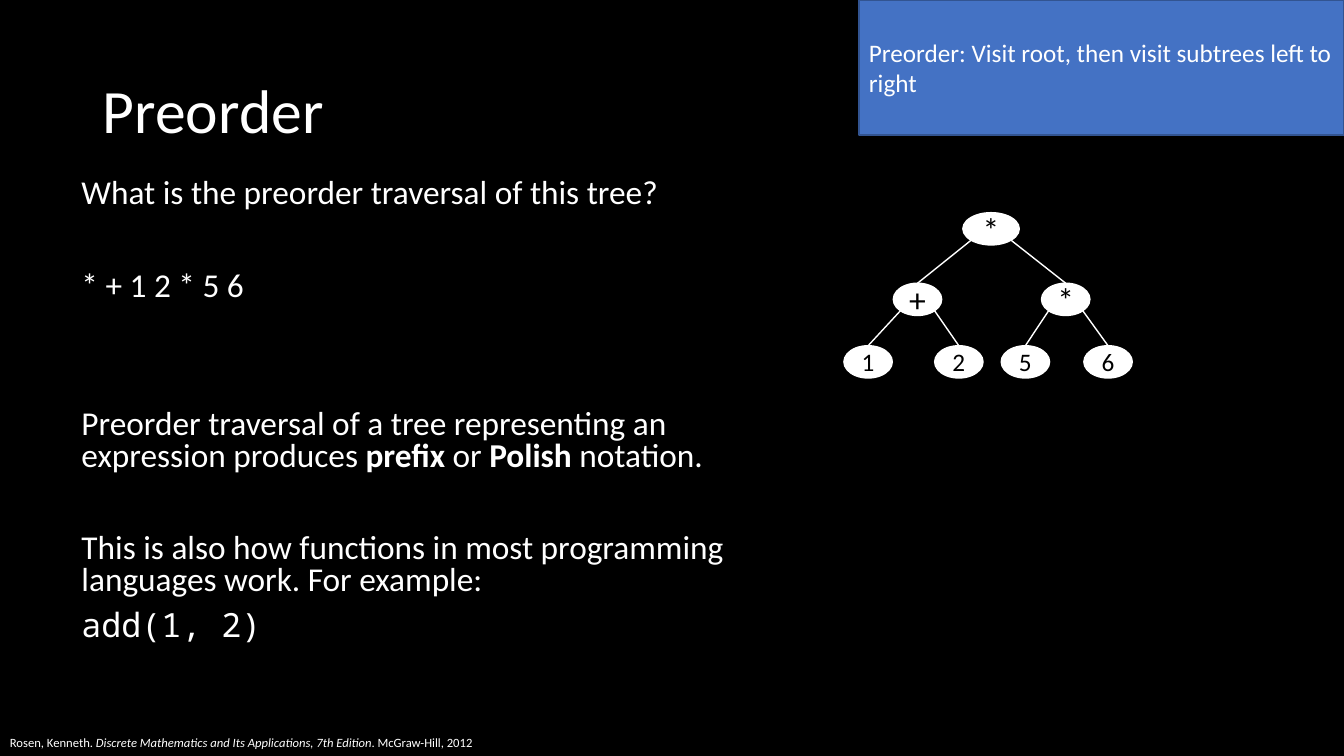
from dataclasses import dataclass
from math import sqrt

from lxml.etree import SubElement
from pptx import Presentation
from pptx.dml.color import RGBColor
from pptx.enum.shapes import MSO_CONNECTOR as Connector, MSO_SHAPE as Preset
from pptx.enum.text import MSO_ANCHOR as Anchor, MSO_AUTO_SIZE as AutoSize, PP_ALIGN as Align
from pptx.oxml.ns import qn
from pptx.util import Inches, Pt


@dataclass(frozen=True)
class Theme:
    background: str = "000000"
    light: str = "FFFFFF"
    dark: str = "000000"
    accent: str = "4472C4"
    accent_edge: str = "325491"
    font: str = "Calibri"
    code_font: str = "Noto Sans Mono"
    title_size: float = 44
    body_size: float = 23.8
    operator_size: float = 24
    label_size: float = 18
    citation_size: float = 9


@dataclass(frozen=True)
class Node:
    label: str
    column: float
    row: float
    width: float = 4.8
    height: float = 3.2
    children: tuple = ()


class SlideBuilder:
    CELL = Inches(0.1)

    def __init__(self, presentation, theme):
        self.theme = theme
        self.slide = presentation.slides.add_slide(presentation.slide_layouts[5])
        fill = self.slide.background.fill
        fill.solid()
        fill.fore_color.rgb = RGBColor.from_string(theme.background)

    def cells(self, *lengths):
        return [round(length * self.CELL) for length in lengths]

    def add_text_run(self, paragraph, text, size, color, bold=False, italic=False, font=None):
        run = paragraph.add_run()
        run.text = text
        run.font.name = font or self.theme.font
        run.font.size = Pt(size)
        run.font.bold = bold
        run.font.italic = italic
        run.font.color.rgb = RGBColor.from_string(color)

    def title(self, text, *box):
        shape = self.slide.shapes.title
        shape.left, shape.top, shape.width, shape.height = self.cells(*box)
        frame = shape.text_frame
        frame.auto_size = AutoSize.NONE
        frame.vertical_anchor = Anchor.MIDDLE
        paragraph = frame.paragraphs[0]
        paragraph.alignment = Align.LEFT
        paragraph.line_spacing = 0.9
        self.add_text_run(paragraph, text, self.theme.title_size, self.theme.light)

    def text(self, paragraphs, size, *box, line_spacing=1.0):
        frame = self.slide.shapes.add_textbox(*self.cells(*box)).text_frame
        frame.word_wrap = True
        for index, (space_before, runs) in enumerate(paragraphs):
            paragraph = frame.add_paragraph() if index else frame.paragraphs[0]
            paragraph.line_spacing = line_spacing
            if index:
                paragraph.space_before = Pt(space_before)
            for text, style in runs:
                self.add_text_run(paragraph, text, size, self.theme.light, **style)

    def shape(self, shapes, preset, label, size, colors, box, align=Align.LEFT, margin=None):
        fill, edge, ink = colors
        shape = shapes.add_shape(preset, *self.cells(*box))
        shape.shadow.inherit = False
        shape.fill.solid()
        shape.fill.fore_color.rgb = RGBColor.from_string(fill)
        shape.line.color.rgb = RGBColor.from_string(edge)
        shape.line.width = Pt(1)
        frame = shape.text_frame
        frame.word_wrap = True
        frame.vertical_anchor = Anchor.MIDDLE
        if margin is not None:
            frame.margin_left = frame.margin_right = margin
            frame.margin_top = frame.margin_bottom = margin
        paragraph = frame.paragraphs[0]
        paragraph.alignment = align
        self.add_text_run(paragraph, label, size, ink)

    def panel(self, label, *box):
        theme = self.theme
        self.shape(self.slide.shapes, Preset.RECTANGLE, label, theme.label_size,
                   (theme.accent, theme.accent_edge, theme.light), box)

    def edge(self, shapes, parent, child):
        side = 1 if child.column > parent.column else -1
        start_column = parent.column + side * parent.width / 2 / sqrt(2)
        start_row = parent.row + parent.height / 2 * (1 + 1 / sqrt(2))
        line = shapes.add_connector(
            Connector.STRAIGHT,
            *self.cells(start_column, start_row, child.column, child.row))
        line.line.color.rgb = RGBColor.from_string(self.theme.light)
        line.line.width = Pt(1)
        SubElement(line._element.spPr, qn("a:effectLst"))

    def branch(self, shapes, node):
        theme = self.theme
        size = theme.label_size if node.label.isdigit() else theme.operator_size
        box = (node.column - node.width / 2, node.row, node.width, node.height)
        self.shape(shapes, Preset.OVAL, node.label, size,
                   (theme.light, theme.light, theme.dark), box, Align.CENTER, 0)
        for child in node.children:
            self.edge(shapes, node, child)
            self.branch(shapes, child)

    def tree(self, root):
        self.branch(self.slide.shapes.add_group_shape().shapes, root)


def main():
    theme = Theme()
    presentation = Presentation()
    presentation.slide_width = Inches(13.33)
    presentation.slide_height = Inches(7.5)
    builder = SlideBuilder(presentation, theme)

    builder.title("Preorder", 9.2, 4, 115, 14.5)

    gap, line_step = 10, 33
    bold = {"bold": True}
    body = [
        (0, [("What is the preorder traversal of this tree?", {})]),
        (gap + line_step, [("* + 1 2 * 5 6", {})]),
        (gap + 2 * line_step, [
            ("Preorder traversal of a tree representing an expression produces ", {}),
            ("prefix", bold), (" or ", {}), ("Polish", bold), (" notation.", {})]),
        (gap + line_step, [
            ("This is also how functions in most programming languages work. For example:", {})]),
        (gap, [("add(1, 2)", {"font": theme.code_font})]),
    ]
    builder.text(body, theme.body_size, 7.1, 17.3, 65.9, 51.1, line_spacing=0.8)

    root_row, operator_row, leaf_row = 21.1, 28.1, 34.3
    plus = Node("+", 91, operator_row, children=(
        Node("1", 86.1, leaf_row), Node("2", 95.1, leaf_row)))
    times = Node("*", 105.7, operator_row, children=(
        Node("5", 101.7, leaf_row), Node("6", 109.9, leaf_row)))
    builder.tree(Node("*", 98.3, root_row, width=5.6, children=(plus, times)))

    builder.panel("Preorder: Visit root, then visit subtrees left to right", 85.2, 0, 48.1, 13.4)

    citation = [
        ("Rosen, Kenneth. ", {}),
        ("Discrete Mathematics and Its Applications, 7th Edition", {"italic": True}),
        (". McGraw-Hill, 2012", {}),
    ]
    builder.text([(0, citation)], theme.citation_size, 0, 72.4, 56.5, 2.5)

    presentation.save("out.pptx")


if __name__ == "__main__":
    main()
